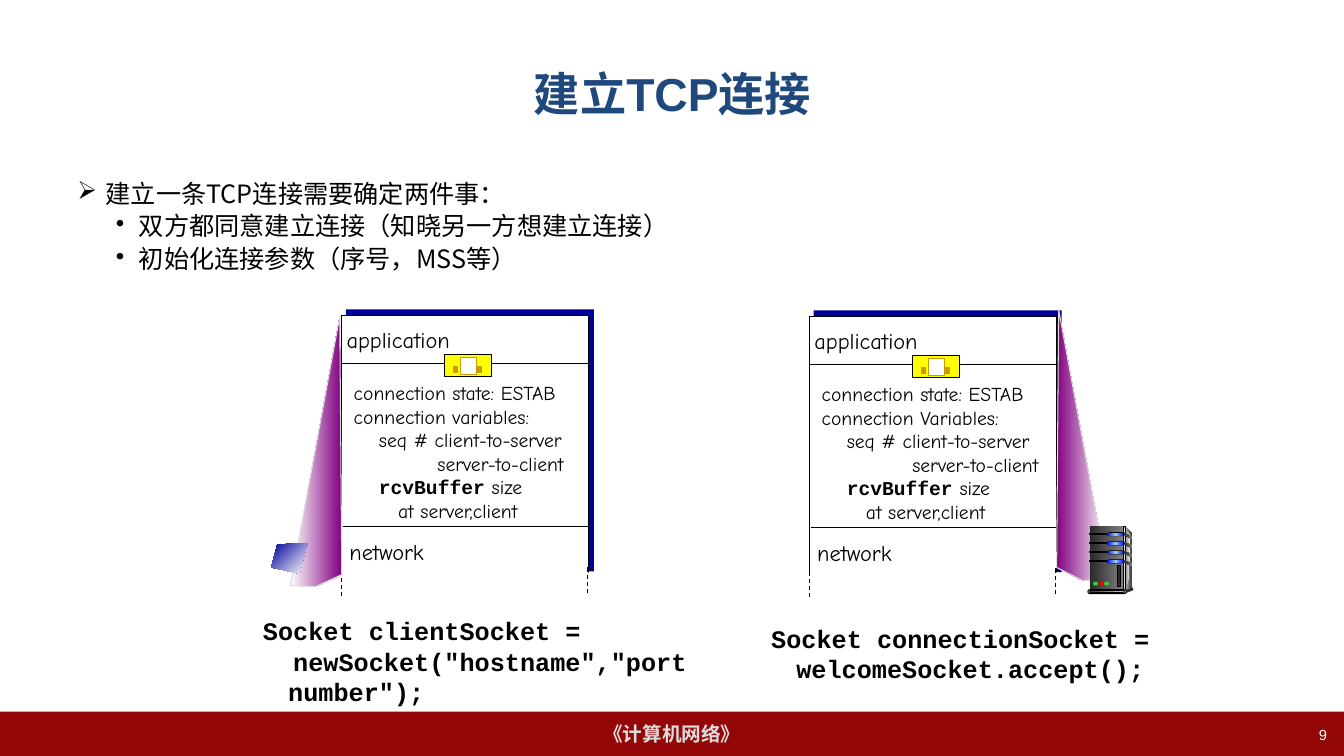
from copy import deepcopy

from lxml import etree
from pptx import Presentation
from pptx.dml.color import RGBColor
from pptx.enum.dml import MSO_LINE
from pptx.enum.shapes import MSO_CONNECTOR, MSO_SHAPE
from pptx.enum.text import MSO_ANCHOR, PP_ALIGN
from pptx.oxml.ns import qn
from pptx.util import Inches, Pt

RECTANGLE, ROUNDED, OVAL = MSO_SHAPE.RECTANGLE, MSO_SHAPE.ROUNDED_RECTANGLE, MSO_SHAPE.OVAL
STRAIGHT, DASH = MSO_CONNECTOR.STRAIGHT, MSO_LINE.DASH
TOP, MIDDLE = MSO_ANCHOR.TOP, MSO_ANCHOR.MIDDLE
LEFT, CENTER, RIGHT = PP_ALIGN.LEFT, PP_ALIGN.CENTER, PP_ALIGN.RIGHT

BLACK = RGBColor(0x00, 0x00, 0x00)
WHITE = RGBColor(0xFF, 0xFF, 0xFF)
DARK_RED = RGBColor(0x94, 0x07, 0x09)
TITLE_BLUE = RGBColor(0x1F, 0x49, 0x7D)
NAVY = RGBColor(0x00, 0x00, 0x99)
BLUE = RGBColor(0x00, 0x00, 0xFF)
SKY = RGBColor(0x99, 0xCC, 0xFF)
PURPLE = RGBColor(0x80, 0x00, 0x80)
YELLOW = RGBColor(0xFF, 0xFF, 0x00)
OCHRE = RGBColor(0xCC, 0x99, 0x00)
GREEN = RGBColor(0x33, 0xCC, 0x33)
RED = RGBColor(0xFF, 0x00, 0x00)
CREAM = RGBColor(0xEE, 0xEC, 0xE1)
SILVER = RGBColor(0xDD, 0xDD, 0xDD)
PALE = RGBColor(0xF8, 0xF8, 0xF8)
GRAY = RGBColor(0x80, 0x80, 0x80)
CHARCOAL = RGBColor(0x33, 0x33, 0x33)
COAL = RGBColor(0x29, 0x29, 0x29)

SANS, HAND, CODE, CHINESE = "Arial", "Comic Neue", "Courier New", "Noto Sans CJK SC"


def add_run(paragraph, text, size, font, color=BLACK, bold=False):
    run = paragraph.add_run()
    run.text = text
    run.font.size, run.font.name, run.font.bold = Pt(size), font, bold
    run.font.color.rgb = color
    etree.SubElement(run._r.get_or_add_rPr(), qn("a:ea"), typeface=CHINESE)


def write(frame, text, align=LEFT, margin=0, indent=0, level=0, bullet=None,
          before=0, spacing=None, **run_format):
    """Add one paragraph to a text frame, filling its empty first one if there is one."""
    first = frame.paragraphs[0]
    paragraph = frame.add_paragraph() if first.runs else first
    paragraph.alignment, paragraph.level = align, level
    paragraph.space_before = Pt(before)
    if spacing:
        paragraph.line_spacing = spacing
    properties = paragraph._p.get_or_add_pPr()
    properties.set("marL", str(Inches(margin)))
    properties.set("indent", str(Inches(indent)))
    if bullet:
        etree.SubElement(properties, qn("a:buChar"), char=bullet)
    add_run(paragraph, text, **run_format)
    return paragraph


class SlideBuilder:
    def __init__(self, slide, line_width=0.75):
        self.shapes = slide.shapes
        self.line_width = Pt(line_width)

    def paint(self, shape, fill, line, angle=0):
        """Fill with one colour, or with a gradient when given a list of colours."""
        shape.shadow.inherit = False
        if isinstance(fill, list):
            shape.fill.gradient()
            shape.fill.gradient_angle = 360 - angle
            stop_list = shape.element.find(".//" + qn("a:gsLst"))
            for _ in fill[2:]:
                stop_list.append(deepcopy(stop_list[-1]))
            for index, (stop, color) in enumerate(zip(shape.fill.gradient_stops, fill)):
                stop.color.rgb = color
                stop.position = index / (len(fill) - 1)
        else:
            shape.fill.solid()
            shape.fill.fore_color.rgb = fill
        if line is None:
            shape.line.fill.background()
        else:
            shape.line.color.rgb = line
            shape.line.width = self.line_width

    def box(self, left, top, width, height, fill, line=None, kind=RECTANGLE):
        shape = self.shapes.add_shape(kind, Inches(left), Inches(top), Inches(width), Inches(height))
        if kind == ROUNDED:
            shape.adjustments[0] = 0.5
        self.paint(shape, fill, line)
        return shape

    def polygon(self, points, fill, line=None, angle=0):
        start, *rest = [(Inches(x), Inches(y)) for x, y in points]
        builder = self.shapes.build_freeform(*start)
        builder.add_line_segments(rest, close=True)
        self.paint(builder.convert_to_shape(), fill, line, angle)

    def line(self, x1, y1, x2, y2, dash=None):
        connector = self.shapes.add_connector(STRAIGHT, Inches(x1), Inches(y1), Inches(x2), Inches(y2))
        connector.line.color.rgb = BLACK
        connector.line.width = self.line_width
        connector.line.dash_style = dash
        etree.SubElement(connector.element.spPr, qn("a:effectLst"))

    def text_frame(self, left, top, width, height, anchor=TOP, wrap=True):
        frame = self.shapes.add_textbox(Inches(left), Inches(top), Inches(width), Inches(height)).text_frame
        frame.word_wrap, frame.vertical_anchor = wrap, anchor
        return frame

    def label(self, text, left, top, width):
        write(self.text_frame(left, top, width, 0.36, wrap=False), text, align=CENTER, size=16, font=HAND)

    def protocol_stack(self, left, top, variables_word, reply_margin):
        right = left + 2.45
        self.box(left + 0.04, top - 0.06, 2.46, 2.6, NAVY)
        self.box(left, top, 2.45, 2.66, WHITE, BLACK)
        self.line(left, top + 0.48, right, top + 0.48)
        frame = self.text_frame(left + 0.02, top + 0.6, 2.52, 1.73)
        style = {"size": 14, "font": HAND}
        write(frame, "connection state: ESTAB", **style)
        write(frame, f"connection {variables_word}:", **style)
        write(frame, "seq # client-to-server", level=1, margin=0.25, **style)
        write(frame, "server-to-client", level=1, margin=reply_margin, **style)
        buffer = write(frame, "rcvBuffer", level=1, margin=0.25, size=14, font=CODE, bold=True)
        add_run(buffer, " size", **style)
        write(frame, "at server,client", level=1, margin=0.44, **style)
        self.box(left + 1.02, top + 0.39, 0.47, 0.22, YELLOW, BLACK)
        self.box(left + 1.18, top + 0.42, 0.16, 0.17, WHITE, OCHRE)
        for offset in (1.35, 1.11):
            self.box(left + offset, top + 0.51, 0.04, 0.06, OCHRE, OCHRE)
        self.label("application", left - 0.09, top + 0.06, 1.3)
        self.line(left + 0.01, top + 2.09, right, top + 2.09)
        self.label("network", left - 0.07, top + 2.16, 1.03)
        self.box(left - 0.03, 5.68, 2.52, 0.2, WHITE)
        self.line(left, top + 2.53, left, top + 2.79, DASH)
        self.line(right - 0.01, top + 2.5, right - 0.01, top + 2.76, DASH)

    def server(self):
        self.polygon([(11.16, 5.22), (11.23, 5.3), (11.23, 5.84), (11.14, 5.86)], [SILVER, CHARCOAL])
        self.box(10.81, 5.22, 0.33, 0.65, [COAL, GRAY])
        self.polygon([(11.16, 5.26), (11.21, 5.31), (11.19, 5.75), (11.16, 5.86)], [GRAY, PALE])
        bays = [5.29 + 0.09 * row for row in range(4)]
        for y in bays:
            self.box(10.81, y, 0.19, 0.01, BLACK, BLACK)
            self.box(10.98, y - 0.01, 0.18, 0.04, BLACK, kind=ROUNDED)
            self.box(10.98, y, 0.17, 0.03, [BLUE, SKY, BLUE], kind=ROUNDED)
        self.box(11.14, 5.22, 0.02, 0.65, [CHARCOAL, SILVER, CHARCOAL], BLACK)
        for y in bays:
            self.polygon([(11.15, y), (11.23, y + 0.03), (11.23, y + 0.06), (11.15, y + 0.02)], [COAL, GRAY])
        self.box(11.22, 5.83, 0.02, 0.03, CHARCOAL, kind=OVAL)
        self.polygon([(11.15, 5.86), (11.15, 5.89), (11.23, 5.86), (11.23, 5.83)], CHARCOAL)
        self.box(10.79, 5.85, 0.38, 0.04, SILVER, BLACK, ROUNDED)
        self.box(10.81, 5.86, 0.34, 0.02, [TITLE_BLUE, CREAM], BLACK, ROUNDED)
        for x, color in ((10.84, GREEN), (10.9, RED), (10.95, GREEN)):
            self.box(x, 5.77, 0.05, 0.04, color, kind=OVAL)
        self.box(11.08, 5.61, 0.03, 0.21, COAL, BLACK)


def main():
    presentation = Presentation()
    presentation.slide_width, presentation.slide_height = Inches(13.33), Inches(7.5)
    builder = SlideBuilder(presentation.slides.add_slide(presentation.slide_layouts[6]))

    footer = builder.box(0, 7.06, 13.33, 0.44, DARK_RED).text_frame
    footer.word_wrap, footer.vertical_anchor = False, MIDDLE
    write(footer, "《计算机网络》", align=CENTER, size=14, font=SANS, color=SILVER, bold=True)
    write(builder.text_frame(0.67, 0.3, 12, 1.25, MIDDLE), "建立TCP连接",
          align=CENTER, size=33, font=SANS, color=TITLE_BLUE, bold=True)

    body = builder.text_frame(0.67, 1.75, 12, 4.95)
    style = {"size": 18, "font": CHINESE, "spacing": 0.9}
    write(body, "建立一条TCP连接需要确定两件事：", margin=0.28, indent=-0.28, bullet="➢", **style)
    for text in ("双方都同意建立连接（知晓另一方想建立连接）", "初始化连接参数（序号，MSS等）"):
        write(body, text, level=1, margin=0.61, indent=-0.23, bullet="•", before=4, **style)
    write(builder.text_frame(10.15, 7.15, 3.11, 0.35), "9", align=RIGHT, size=10.5, font=SANS, color=WHITE)

    builder.protocol_stack(3.39, 3.13, "variables", 0.83)
    builder.polygon([(2.88, 5.81), (3.37, 3.14), (3.39, 5.7), (3.13, 5.82)], [WHITE, PURPLE], SILVER)
    builder.protocol_stack(8.03, 3.14, "Variables", 0.9)
    builder.polygon([(10.99, 5.74), (10.5, 3.07), (10.48, 5.63), (10.74, 5.76)], [PURPLE, WHITE], SILVER)

    code = {"margin": 0.25, "indent": -0.25, "size": 18, "font": CODE, "bold": True}
    client_code = builder.text_frame(2.51, 6.06, 4.54, 1.01)
    write(client_code, "Socket clientSocket =", **code)
    write(client_code, '  newSocket("hostname","port number");', **code)
    write(builder.text_frame(7.55, 6.13, 4.25, 0.7),
          "Socket connectionSocket = welcomeSocket.accept();", **code)

    builder.polygon([(3.05, 5.39), (2.75, 5.4), (2.69, 5.63), (2.97, 5.69)], [NAVY, WHITE], angle=45)
    builder.server()
    presentation.save("out.pptx")


if __name__ == "__main__":
    main()
